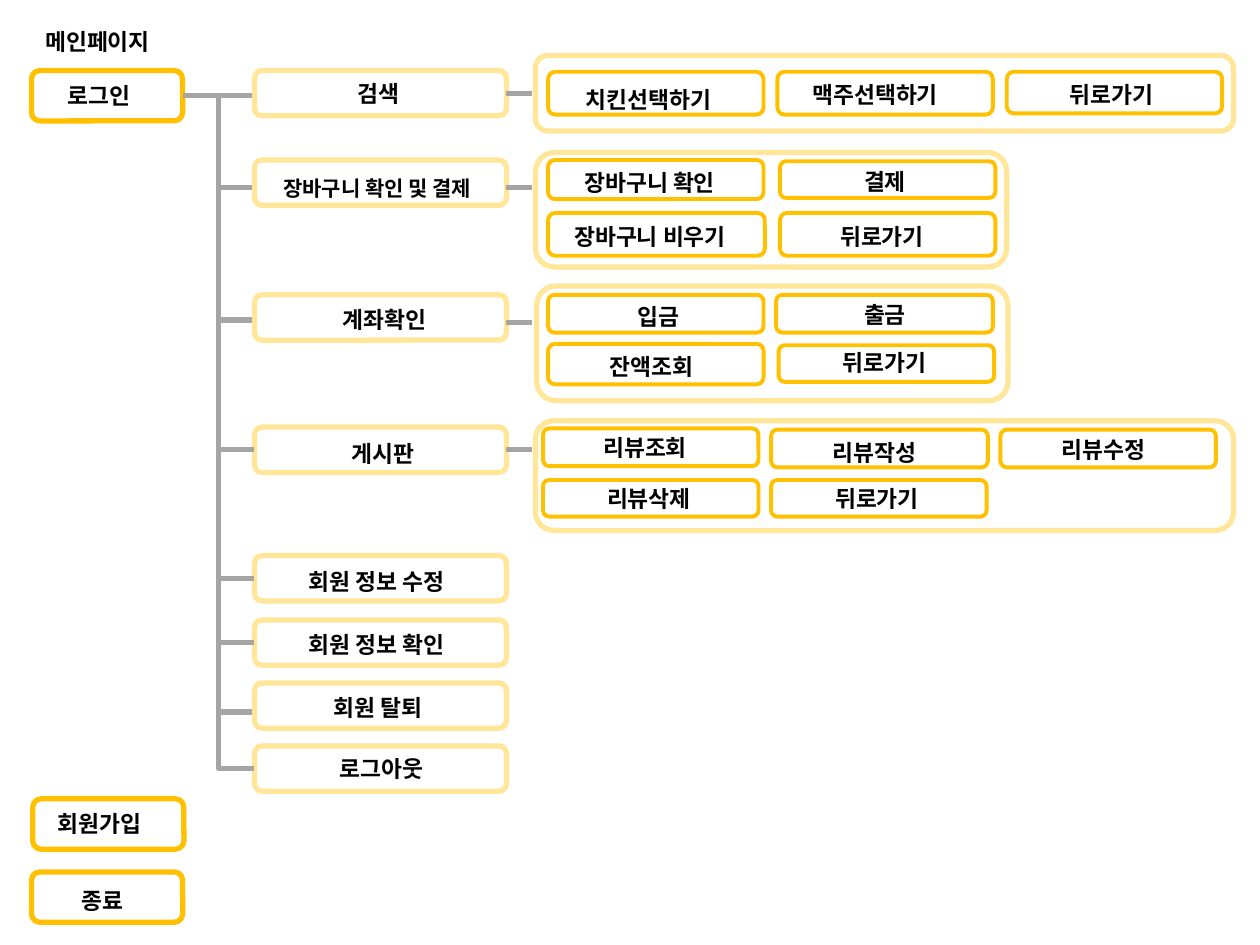
from pptx import Presentation
from pptx import util as u
from pptx.dml.color import RGBColor
from pptx.enum import shapes, text
from pptx.oxml.ns import qn
from lxml import etree

PX = 9144  # 100 px to the inch
GOLD, PALE, GREY = "FFC000", "FFE699", "A5A5A5"


def add_box(area, hue, width, label="", spot=None, size=13):
    """Draw a rounded outline and, if given, its label at spot (x, y, w)."""
    box = tree.add_shape(shapes.MSO_SHAPE.ROUNDED_RECTANGLE, *[n * PX for n in area])
    box.shadow.inherit = False
    box.fill.background()
    box.line.color.rgb = RGBColor.from_string(hue)
    box.line.width = u.Pt(width)
    if label:
        x, y, w = spot
        note = tree.add_textbox(x * PX, y * PX, w * PX, 32 * PX)
        note.text_frame.word_wrap = True
        para = note.text_frame.paragraphs[0]
        para.text = label
        para.font.size, para.font.bold, para.font.name = u.Pt(size), True, "Calibri"
        para.font.color.rgb = RGBColor.from_string("000000")
    return box


def add_line(start, end, kind=shapes.MSO_CONNECTOR.STRAIGHT):
    line = tree.add_connector(kind, *[n * PX for n in start + end])
    line.line.color.rgb = RGBColor.from_string(GREY)
    line.line.width = u.Pt(3)
    etree.SubElement(line._element.spPr, qn("a:effectLst"))
    return line


deck = Presentation()
deck.slide_width, deck.slide_height = 1000 * PX, 750 * PX
slide = deck.slides.add_slide(deck.slide_layouts[5])
tree = slide.shapes

# Page title
title = tree.title
title.left, title.top, title.width, title.height = 26 * PX, 17 * PX, 122 * PX, 32 * PX
title.text_frame.text = "메인페이지"
title.text_frame.vertical_anchor = text.MSO_ANCHOR.TOP
title.text_frame.auto_size = text.MSO_AUTO_SIZE.NONE
head = title.text_frame.paragraphs[0]
head.alignment = text.PP_ALIGN.LEFT
head.font.size, head.font.bold, head.font.name = u.Pt(13), True, "Calibri"
head.font.color.rgb = RGBColor.from_string("000000")

# Start choices: label, box left and top, label spot
starts = [
    ("로그인", 25, 56, (44, 60, 81)),
    ("회원가입", 26, 634, (36, 638, 101)),
    ("종료", 25, 692, (55, 699, 62)),
]
login = [add_box((x, y, 120, 40), GOLD, 3, name, spot) for name, x, y, spot in starts][0]

# Menu: label, top, label spot, size, branch height
menu = [
    ("검색", 56, (274, 58, 63), 13, 76),
    ("장바구니 확인 및 결제", 127, (215, 134, 182), 12, 149),
    ("계좌확인", 234, (262, 238, 100), 13, 254),
    ("게시판", 339, (269, 344, 83), 13, 357),
    ("회원 정보 수정", 441, (235, 446, 143), 13, 459),
    ("회원 정보 확인", 492, (235, 496, 143), 13, 510),
    ("회원 탈퇴", 542, (255, 546, 97), 13, 565),
    ("로그아웃", 592, (260, 594, 93), 13, None),
]
tabs = [add_box((202, top, 200, 36), PALE, 3, name, spot, size)
        for name, top, spot, size, _ in menu]

# Trunk from login to the last entry, with a branch to each other entry
trunk = add_line((145, 76), (202, 610), shapes.MSO_CONNECTOR.ELBOW)
trunk.begin_connect(login, 3)
trunk.end_connect(tabs[-1], 1)
for tab, (_, top, _, _, y) in zip(tabs[:-1], menu):
    first = tab is tabs[0]
    branch = add_line((145 if first else 174, y), (200, y))
    if first:
        branch.begin_connect(login, 3)
    if y == top + 18:
        branch.end_connect(tab, 1)

# Submenus: frame, link height, items (label, box, label spot)
groups = [
    ((425, 44, 554, 60), 74, [
        ("치킨선택하기", (435, 57, 171, 34), (455, 63, 129)),
        ("맥주선택하기", (617, 57, 171, 34), (635, 59, 135)),
        ("뒤로가기", (799, 57, 171, 33), (839, 59, 94))]),
    ((425, 121, 374, 91), 149, [
        ("장바구니 확인", (435, 127, 171, 31), (454, 129, 133)),
        ("결제", (619, 128, 171, 29), (676, 128, 57)),
        ("장바구니 비우기", (435, 169, 172, 34), (446, 172, 152)),
        ("뒤로가기", (619, 169, 171, 34), (657, 172, 94))]),
    ((426, 227, 374, 91), 256, [
        ("입금", (435, 234, 171, 30), (496, 235, 57)),
        ("출금", (616, 234, 172, 30), (676, 234, 57)),
        ("잔액조회", (435, 273, 171, 32), (474, 275, 104)),
        ("뒤로가기", (618, 274, 171, 29), (659, 272, 95))]),
    ((425, 334, 554, 87), 357, [
        ("리뷰조회", (431, 340, 171, 30), (469, 339, 95)),
        ("리뷰작성", (612, 341, 172, 30), (651, 343, 95)),
        ("리뷰수정", (794, 341, 171, 30), (833, 341, 104)),
        ("리뷰삭제", (431, 381, 171, 29), (472, 380, 94)),
        ("뒤로가기", (612, 381, 171, 29), (653, 380, 95))]),
]
for tab, entry, (area, y, items) in zip(tabs, menu, groups):
    add_box(area, PALE, 3)
    for name, place, spot in items:
        add_box(place, GOLD, 2.25, name, spot)
    link = add_line((402, y), (422, y))
    if y == entry[1] + 18:
        link.begin_connect(tab, 3)

deck.save("out.pptx")
